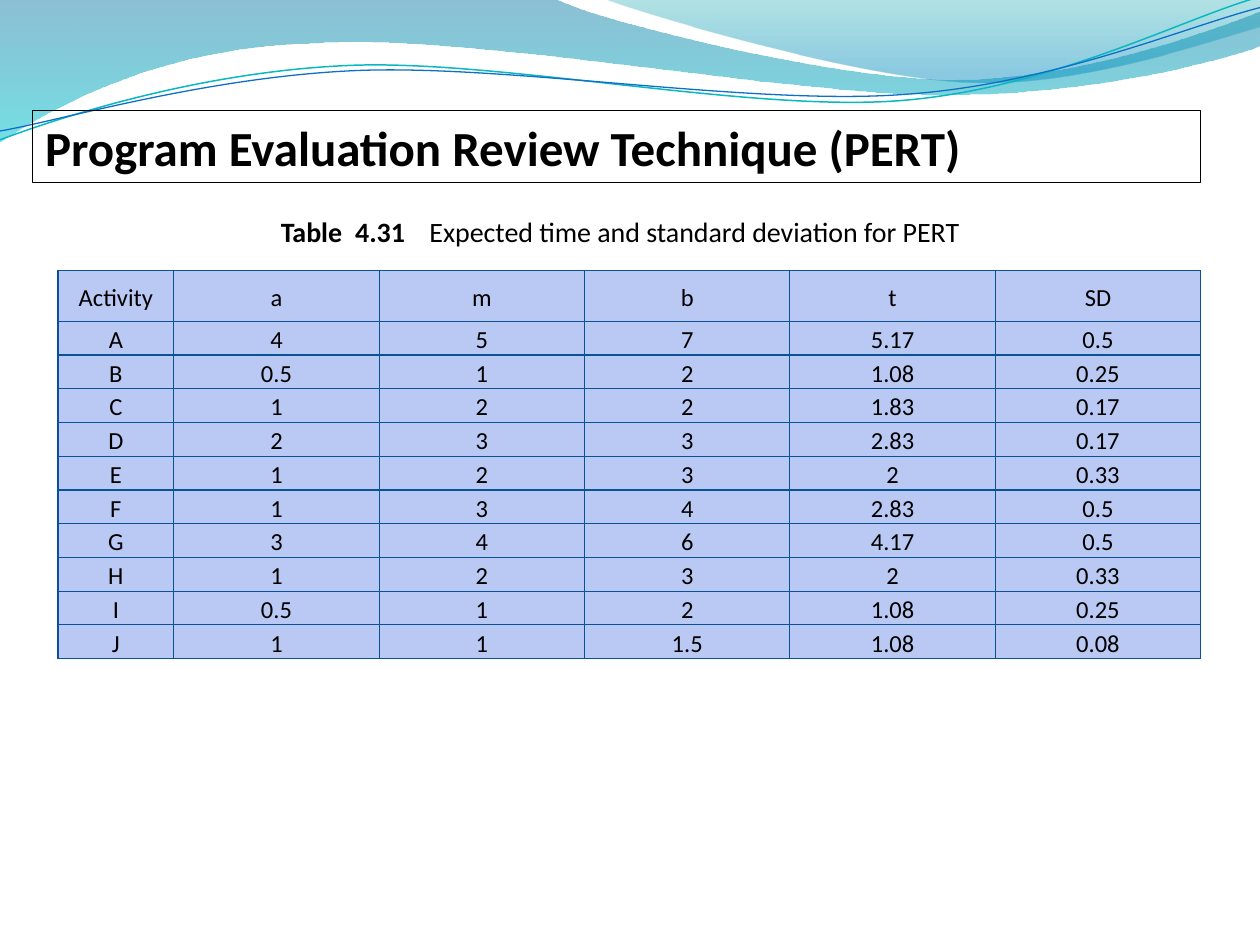
from math import cos, radians, sin

from pptx import Presentation
from pptx.dml.color import RGBColor
from pptx.enum.shapes import MSO_SHAPE as Preset
from pptx.enum.text import MSO_ANCHOR as Anchor, PP_ALIGN as Align
from pptx.oxml.ns import qn
from pptx.util import Inches, Pt
from lxml.etree import SubElement

FONT = "Calibri"
BLACK = RGBColor(0x00, 0x00, 0x00)
CELL_BLUE = RGBColor(0xBA, 0xC9, 0xF3)
BORDER_BLUE = RGBColor(0x09, 0x52, 0x95)
DEEP_BLUE = RGBColor(0x00, 0x74, 0xA1)
CYAN = RGBColor(0x00, 0xC6, 0xCF)
TEAL = RGBColor(0x00, 0xA1, 0xA9)
SKY_BLUE = RGBColor(0x00, 0x8B, 0xBF)
LINE_TEAL = RGBColor(0x0A, 0xB8, 0xBF)
LINE_BLUE = RGBColor(0x0F, 0x6F, 0xC6)
CURVE_TILT = -2.7

# Each step is a point (straight) or two controls and a point (curve)
LEFT_WAVE = [
    (0, 0), (4.4, -0.01), (4.76, 0.17, 6.64, 0.63, 7.58, 0.63),
    (8.53, 0.63, 9.58, 0.26, 10, 0.09), (10.01, 0.36),
    (9.83, 0.44, 8.7, 0.76, 7.46, 0.75), (6.22, 0.75, 3.82, 0.28, 2.57, 0.34),
    (1.29, 0.36, 0.46, 0.83, -0.01, 1.13), (0, 0),
]
RIGHT_WAVE = [
    (4.79, -0.01), (5.09, 0.11, 6.82, 0.62, 7.69, 0.65),
    (8.56, 0.69, 9.61, 0.32, 10, 0.21), (10, 0), (4.79, -0.01),
]
TEAL_LINE = [
    (0, 1.11), (0.48, 0.93, 1.58, 0.57, 2.77, 0.52),
    (3.95, 0.47, 5.93, 0.89, 7.13, 0.8), (8.33, 0.71, 9.38, 0.15, 9.98, -0.02),
]
BLUE_LINE = [
    (0, 1.04), (0.47, 0.96, 1.64, 0.61, 2.83, 0.56),
    (4.03, 0.51, 5.97, 0.84, 7.17, 0.75), (8.36, 0.67, 9.41, 0.21, 10, 0.06),
]

ACTIVITIES = [
    ("Activity", "a", "m", "b", "t", "SD"),
    ("A", "4", "5", "7", "5.17", "0.5"),
    ("B", "0.5", "1", "2", "1.08", "0.25"),
    ("C", "1", "2", "2", "1.83", "0.17"),
    ("D", "2", "3", "3", "2.83", "0.17"),
    ("E", "1", "2", "3", "2", "0.33"),
    ("F", "1", "3", "4", "2.83", "0.5"),
    ("G", "3", "4", "6", "4.17", "0.5"),
    ("H", "1", "2", "3", "2", "0.33"),
    ("I", "0.5", "1", "2", "1.08", "0.25"),
    ("J", "1", "1", "1.5", "1.08", "0.08"),
]


def add_outline(page, area, steps, closed, tilt=0):
    """Draw straight and cubic steps, given as they lie on the page, in a tilted area."""
    left, top, width, height = area
    turn = radians(-tilt)

    def place(x, y):
        dx, dy = x - left - width / 2, y - top - height / 2
        return (Inches(width / 2 + dx * cos(turn) - dy * sin(turn)),
                Inches(height / 2 + dx * sin(turn) + dy * cos(turn)))

    builder = page.shapes.build_freeform(0, 0)
    builder.add_line_segments([(Inches(width), Inches(height))], close=False)
    shape = builder.convert_to_shape(Inches(left), Inches(top))
    shape.rotation = tilt
    shape.shadow.inherit = False

    # Replace the plain diagonal by the curved steps
    outline = next(shape.element.iter(qn("a:path")))
    for segment in list(outline):
        outline.remove(segment)
    for i, step in enumerate(steps):
        kind = "a:moveTo" if i == 0 else "a:lnTo" if len(step) == 2 else "a:cubicBezTo"
        segment = SubElement(outline, qn(kind))
        for point in zip(step[::2], step[1::2]):
            x, y = place(*point)
            SubElement(segment, qn("a:pt"), x=str(x), y=str(y))
    if closed:
        SubElement(outline, qn("a:close"))
    return shape


def add_wave(page, area, steps, stops):
    """Fill a closed outline from top to bottom; stops are (place, colour, opacity)."""
    wave = add_outline(page, area, steps, True)
    wave.line.fill.background()
    wave.fill.gradient()
    wave.fill.gradient_angle = 270
    for stop, (place, color, _) in zip(wave.fill.gradient_stops, stops):
        stop.position = place
        stop.color.rgb = color
    tints = list(wave.element.spPr.iter(qn("a:srgbClr")))
    for tint, (_, _, opacity) in zip(tints, stops):
        SubElement(tint, qn("a:alpha"), val=str(opacity * 1000))


def add_curve(page, area, steps, color, width):
    curve = add_outline(page, area, steps, False, CURVE_TILT)
    curve.fill.background()
    curve.line.color.rgb = color
    curve.line.width = Pt(width)


def style(para, size, align, bold=None):
    para.alignment = align
    para.font.name = FONT
    para.font.size = Pt(size)
    para.font.bold = bold
    para.font.color.rgb = BLACK


def add_title(page, text):
    box = page.shapes.add_shape(Preset.RECTANGLE, Inches(0.26), Inches(0.88),
                                Inches(9.27), Inches(0.57))
    box.shadow.inherit = False
    box.fill.background()
    box.line.color.rgb = BLACK
    box.line.width = Pt(0.75)
    box.text_frame.vertical_anchor = Anchor.TOP
    para = box.text_frame.paragraphs[0]
    para.text = text
    style(para, 28, Align.LEFT, True)


def add_caption(page, label, text):
    box = page.shapes.add_textbox(Inches(2.13), Inches(1.65), Inches(5.61), Inches(0.37))
    box.text_frame.word_wrap = True
    para = box.text_frame.paragraphs[0]
    tabs = SubElement(para._p.get_or_add_pPr(), qn("a:tabLst"))
    for place in (0.59, 1.18):
        SubElement(tabs, qn("a:tab"), pos=str(Inches(place)), algn="l")
    style(para, 16, Align.LEFT)
    for words, bold in ((label, True), (text, False)):
        span = para.add_run()
        span.text = words
        span.font.bold = bold


def add_borders(cell):
    props = cell._tc.get_or_add_tcPr()
    for place, side in enumerate(("a:lnL", "a:lnR", "a:lnT", "a:lnB")):
        line = SubElement(props, qn(side), w=str(Pt(0.75)))
        fill = SubElement(line, qn("a:solidFill"))
        SubElement(fill, qn("a:srgbClr"), val=str(BORDER_BLUE))
        props.insert(place, line)


def add_activity_table(page, rows):
    frame = page.shapes.add_table(len(rows), len(rows[0]), Inches(0.46), Inches(2.15),
                                  Inches(9.07), Inches(3.08))
    table = frame.table
    table.first_row = table.horz_banding = False
    for i, column in enumerate(table.columns):
        column.width = Inches(1.63 if i else 0.92)
    for i, row in enumerate(table.rows):
        row.height = Inches(0.26 if i else 0.4)
    frame.height = Inches(3.08)
    for cell, text in zip(table.iter_cells(), (text for row in rows for text in row)):
        cell.fill.solid()
        cell.fill.fore_color.rgb = CELL_BLUE
        cell.vertical_anchor = Anchor.MIDDLE
        cell.margin_left = cell.margin_right = Inches(0.07)
        cell.margin_top = cell.margin_bottom = 0
        para = cell.text_frame.paragraphs[0]
        para.text = text
        para.line_spacing = 1.13
        style(para, 14, Align.CENTER, False)
        add_borders(cell)


def main():
    deck = Presentation()
    deck.slide_width, deck.slide_height = Inches(10), Inches(7.5)
    page = deck.slides.add_slide(deck.slide_layouts[6])

    # Wavy header
    add_wave(page, (-0.01, -0.01, 10.02, 1.14), LEFT_WAVE,
             [(0, DEEP_BLUE, 45), (1, CYAN, 55)])
    add_wave(page, (4.79, -0.01, 5.21, 0.7), RIGHT_WAVE,
             [(0, TEAL, 30), (0.8, SKY_BLUE, 45)])
    add_curve(page, (-0.02, 0.22, 10.02, 0.71), TEAL_LINE, LINE_TEAL, 0.85)
    add_curve(page, (-0.02, 0.3, 10.03, 0.58), BLUE_LINE, LINE_BLUE, 0.75)

    # Title, table and its caption
    add_title(page, "Program Evaluation Review Technique (PERT)")
    add_activity_table(page, ACTIVITIES)
    add_caption(page, "Table\t4.31\t", "Expected time and standard deviation for PERT")

    deck.save("out.pptx")


if __name__ == "__main__":
    main()
